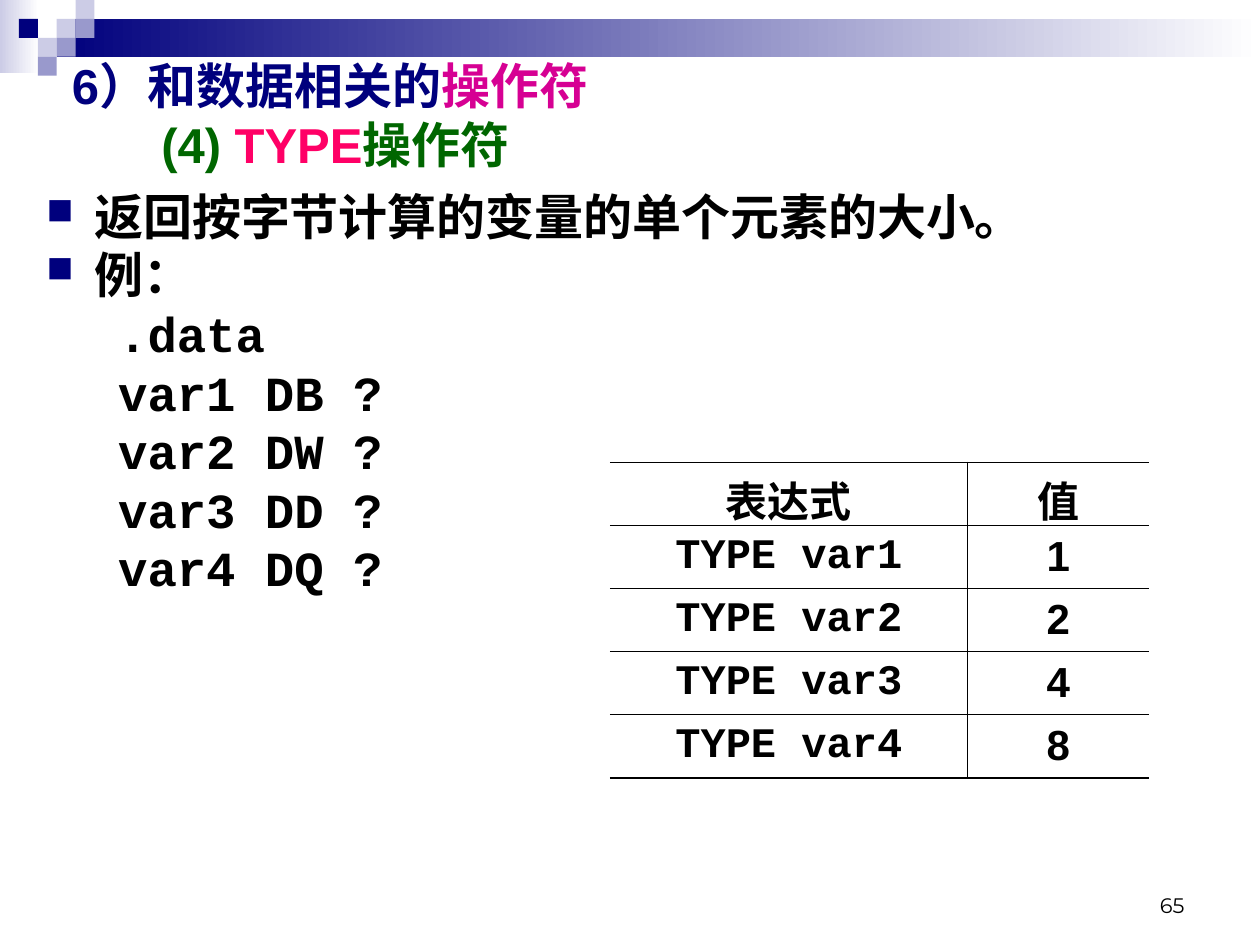
from dataclasses import dataclass

from lxml import etree
from pptx import Presentation
from pptx.dml.color import RGBColor
from pptx.enum.shapes import MSO_SHAPE
from pptx.enum.text import MSO_ANCHOR, PP_ALIGN
from pptx.oxml.ns import qn
from pptx.util import Inches, Pt

RECTANGLE = MSO_SHAPE.RECTANGLE
MIDDLE, BOTTOM, TOP = MSO_ANCHOR.MIDDLE, MSO_ANCHOR.BOTTOM, MSO_ANCHOR.TOP
LEFT, CENTER, RIGHT = PP_ALIGN.LEFT, PP_ALIGN.CENTER, PP_ALIGN.RIGHT


@dataclass(frozen=True)
class Theme:
    """Colours, fonts, type sizes and line widths of the slide."""
    navy: str = "00007D"
    lilac: str = "9999CC"
    pale: str = "CCCCE6"
    white: str = "FFFFFF"
    black: str = "000000"
    magenta: str = "D60093"
    green: str = "006600"
    pink: str = "FF0066"
    sans: str = "Arial"
    serif: str = "Times New Roman"
    code: str = "Courier New"
    number: str = "Montserrat"
    text_size: float = 28
    table_size: float = 24
    number_size: float = 12
    line_pitch: float = 33.5
    thick: float = 1.08
    thin: float = 0.45


THEME = Theme()
UNIT = 0.15
SQUARES = [
    (3, 1, THEME.pale), (4, 0, THEME.pale), (4, 1, THEME.lilac),
    (2, 2, THEME.pale), (1, 1, THEME.navy), (3, 2, THEME.lilac),
    (2, 3, THEME.lilac),
]
TITLE_LINES = [
    [("6）和数据相关的", THEME.navy), ("操作符", THEME.magenta)],
    [("(4) ", THEME.green), ("TYPE", THEME.pink), ("操作符", THEME.green)],
]
BULLETS = ["返回按字节计算的变量的单个元素的大小。", "例："]
CODE_LINES = [".data", "var1 DB ?", "var2 DW ?", "var3 DD ?", "var4 DQ ?"]
ROWS = [("表达式", "值"), ("TYPE var1", "1"), ("TYPE var2", "2"),
        ("TYPE var3", "4"), ("TYPE var4", "8")]
COLUMN_WIDTHS = (2.84, 1.44)
ROW_HEIGHT = 0.5


def add_span(para, text, *, size=THEME.text_size, font=THEME.sans,
             color=THEME.black, bold=True):
    """Add one formatted span of text to a paragraph."""
    span = para.add_run()
    span.text = text
    span.font.size = Pt(size)
    span.font.name = font
    span.font.bold = bold
    span.font.color.rgb = RGBColor.from_string(color)


def add_para(frame, first, *, align=LEFT, left=0, hanging=0, bullet=False,
             pitch=None):
    """Return the first or a new paragraph with its indents and bullet set."""
    para = frame.paragraphs[0] if first else frame.add_paragraph()
    para.alignment = align
    if pitch:
        para.line_spacing = Pt(pitch)
    properties = para._p.get_or_add_pPr()
    properties.set("marL", str(Inches(left)))
    properties.set("indent", str(Inches(-hanging)))
    if bullet:
        color = etree.SubElement(properties, qn("a:buClr"))
        etree.SubElement(color, qn("a:srgbClr"), val=THEME.navy)
        etree.SubElement(properties, qn("a:buSzPct"), val="75000")
        etree.SubElement(properties, qn("a:buChar"), char="■")
    else:
        etree.SubElement(properties, qn("a:buNone"))
    return para


def add_frame(page, left, top, width, height, anchor=TOP):
    """Add a wrapping text box and return its text frame."""
    box = page.shapes.add_textbox(*map(Inches, (left, top, width, height)))
    box.text_frame.word_wrap = True
    box.text_frame.vertical_anchor = anchor
    return box.text_frame


def add_block(page, left, top, width, height, color, fade_to=None):
    """Add a borderless rectangle, solid or fading to the right."""
    block = page.shapes.add_shape(
        RECTANGLE, *map(Inches, (left, top, width, height)))
    block.shadow.inherit = False
    block.line.fill.background()
    if fade_to is None:
        block.fill.solid()
        block.fill.fore_color.rgb = RGBColor.from_string(color)
        return
    block.fill.gradient()
    block.fill.gradient_angle = 0
    for stop, position, shade in zip(block.fill.gradient_stops, (0, 1),
                                     (color, fade_to)):
        stop.position = position
        stop.color.rgb = RGBColor.from_string(shade)


def add_banner(page):
    """Draw the fading bar and the small squares at the top."""
    add_block(page, 0, 0, 0.31, 0.58, THEME.pale, THEME.white)
    add_block(page, 3 * UNIT, UNIT, 10 - 3 * UNIT, 2 * UNIT,
              THEME.navy, THEME.white)
    for column, row, color in SQUARES:
        add_block(page, column * UNIT, row * UNIT, UNIT, UNIT, color)


def fill_title(page):
    """Place the title and write its two coloured lines."""
    title = page.shapes.title
    title.left, title.top, title.width, title.height = map(
        Inches, (0.47, 0.36, 9.34, 1.1))
    title.text_frame.vertical_anchor = MIDDLE
    for index, line in enumerate(TITLE_LINES):
        para = add_para(title.text_frame, index == 0, left=0.71 * index,
                        pitch=THEME.line_pitch)
        for text, color in line:
            add_span(para, text, color=color)


def add_body(page):
    """Write the bulleted points and the code example below them."""
    frame = add_frame(page, 0.27, 1.43, 9.53, 5.95)
    for index, text in enumerate(BULLETS):
        para = add_para(frame, index == 0, left=0.38, hanging=0.38,
                        bullet=True, pitch=THEME.line_pitch)
        add_span(para, text, font=THEME.serif)
    for text in CODE_LINES:
        para = add_para(frame, False, left=0.89, hanging=0.32,
                        pitch=THEME.line_pitch)
        add_span(para, text, font=THEME.code)


def set_borders(cell, **widths):
    """Draw the named cell sides in black and hide the others."""
    properties = cell._tc.get_or_add_tcPr()
    for index, side in enumerate("LRTB"):
        width = widths.get(side)
        line = etree.Element(qn(f"a:ln{side}"), w=str(Pt(width or 0)))
        if width:
            fill = etree.SubElement(line, qn("a:solidFill"))
            etree.SubElement(fill, qn("a:srgbClr"), val=THEME.black)
        else:
            etree.SubElement(line, qn("a:noFill"))
        properties.insert(index, line)


def add_value_table(page):
    """Add the table of expressions and their values."""
    table = page.shapes.add_table(
        len(ROWS), len(COLUMN_WIDTHS), Inches(4.84), Inches(3.67),
        Inches(sum(COLUMN_WIDTHS)), Inches(ROW_HEIGHT * len(ROWS))).table
    table.first_row = table.horz_banding = False
    for column, width in zip(table.columns, COLUMN_WIDTHS):
        column.width = Inches(width)
    rules = [THEME.thick] * 2 + [THEME.thin] * (len(ROWS) - 2) + [THEME.thick]
    for row, texts in enumerate(ROWS):
        table.rows[row].height = Inches(ROW_HEIGHT)
        for column, text in enumerate(texts):
            cell = table.cell(row, column)
            cell.vertical_anchor = MIDDLE
            cell.fill.background()
            inner = {"L" if column else "R": THEME.thin}
            set_borders(cell, T=rules[row], B=rules[row + 1], **inner)
            para = add_para(cell.text_frame, True, align=CENTER)
            is_code = row > 0 and column == 0
            add_span(para, text, size=THEME.table_size,
                     font=THEME.code if is_code else THEME.sans)


def add_page_number(page):
    """Write the page number at the lower right."""
    frame = add_frame(page, 7.17, 6.83, 2.33, 0.5, BOTTOM)
    add_span(add_para(frame, True, align=RIGHT), "65",
             size=THEME.number_size, font=THEME.number, bold=False)


def main():
    """Build the slide and save the deck."""
    deck = Presentation()
    deck.slide_width, deck.slide_height = Inches(10), Inches(7.5)
    page = deck.slides.add_slide(deck.slide_layouts[5])
    add_banner(page)
    fill_title(page)
    add_page_number(page)
    add_body(page)
    add_value_table(page)
    deck.save("out.pptx")


if __name__ == "__main__":
    main()
